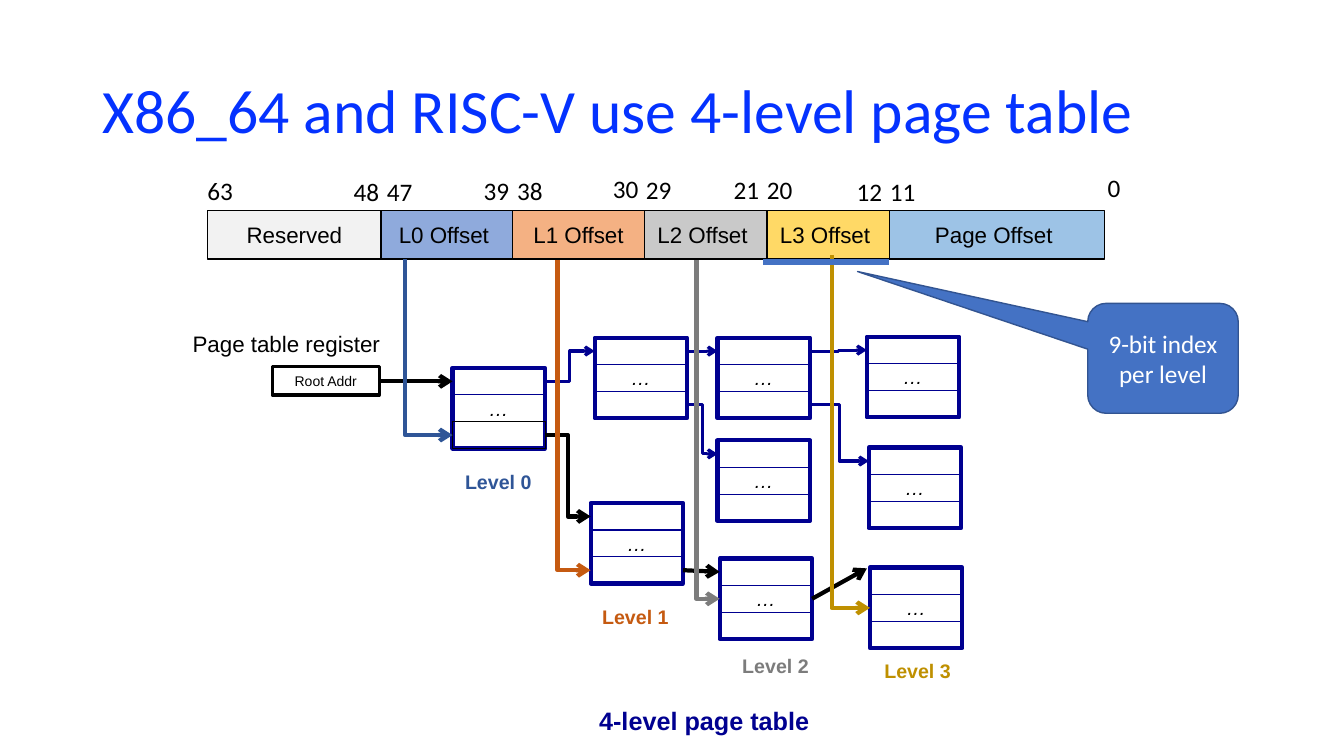
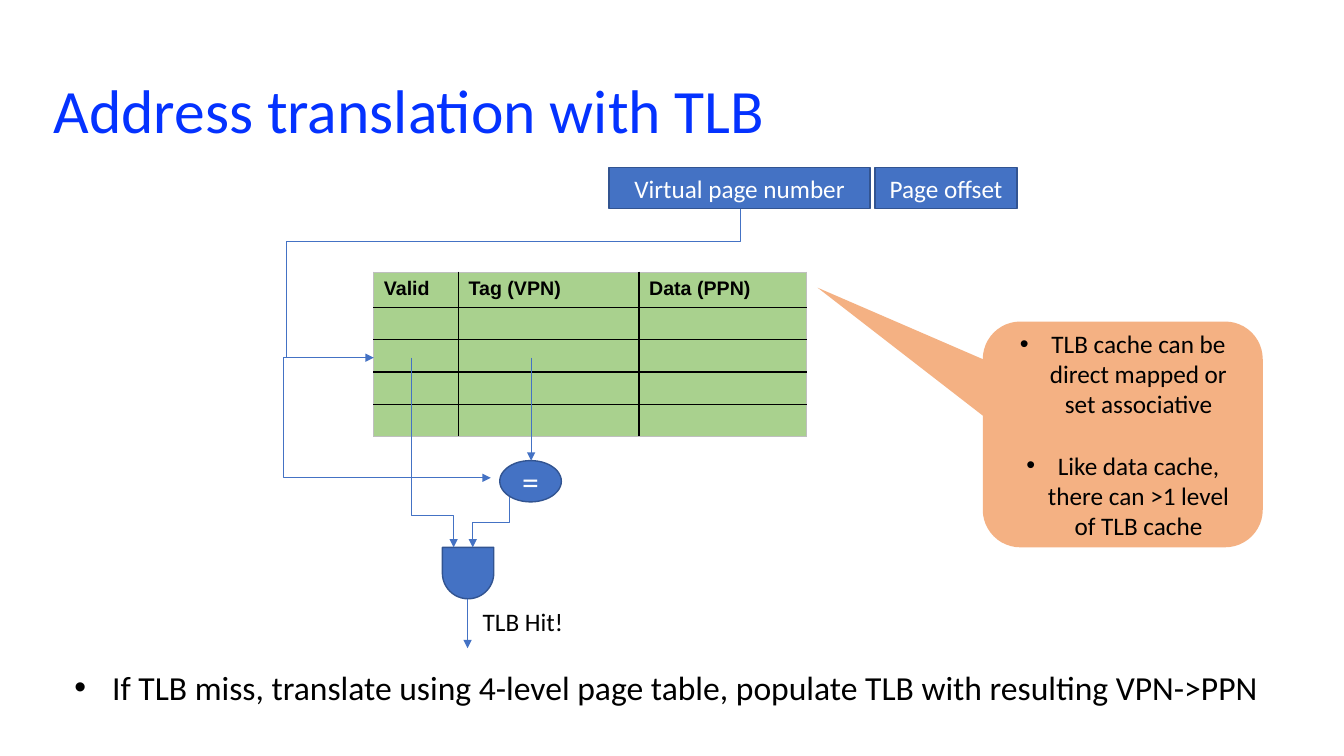
from lxml import etree
from pptx import Presentation
from pptx.dml.color import RGBColor
from pptx.enum.shapes import MSO_CONNECTOR, MSO_SHAPE
from pptx.enum.text import MSO_ANCHOR, MSO_AUTO_SIZE, PP_ALIGN
from pptx.oxml.ns import qn
from pptx.util import Pt

STRAIGHT, ELBOW = MSO_CONNECTOR.STRAIGHT, MSO_CONNECTOR.ELBOW
RECT, OVAL = MSO_SHAPE.RECTANGLE, MSO_SHAPE.OVAL
CALLOUT, DELAY = MSO_SHAPE.ROUNDED_RECTANGULAR_CALLOUT, MSO_SHAPE.FLOWCHART_DELAY
LEFT, CENTER = PP_ALIGN.LEFT, PP_ALIGN.CENTER
MIDDLE, TOP = MSO_ANCHOR.MIDDLE, MSO_ANCHOR.TOP
NO_FIT = MSO_AUTO_SIZE.NONE

BLACK = RGBColor(0x00, 0x00, 0x00)
WHITE = RGBColor(0xFF, 0xFF, 0xFF)
TITLE_BLUE = RGBColor(0x04, 0x32, 0xFF)
NAVY = RGBColor(0x00, 0x00, 0x90)
BLUE = RGBColor(0x44, 0x72, 0xC4)
BLUE_EDGE = RGBColor(0x32, 0x54, 0x91)
PALE_GRAY = RGBColor(0xF2, 0xF2, 0xF2)
L0_FILL = RGBColor(0x8F, 0xAA, 0xDC)
PEACH = RGBColor(0xF4, 0xB1, 0x83)
L2_FILL = RGBColor(0xC9, 0xC9, 0xC9)
L3_FILL = RGBColor(0xFF, 0xD9, 0x66)
OFFSET_FILL = RGBColor(0x9D, 0xC3, 0xE6)
L0_INK = RGBColor(0x2F, 0x55, 0x97)
L1_INK = RGBColor(0xC5, 0x5A, 0x11)
L2_INK = RGBColor(0x7C, 0x7C, 0x7C)
L3_INK = RGBColor(0xBF, 0x90, 0x00)
GREEN = RGBColor(0xA9, 0xD1, 0x8E)
TABLE_EDGE = RGBColor(0xBF, 0xBF, 0xBF)

NODE_W, NODE_ROW = 66, 19.2


def format_text(paragraph, size, color, font="Calibri", bold=False, italic=False, align=LEFT):
    """Align a paragraph and format its runs."""
    paragraph.alignment = align
    for run in paragraph.runs:
        run.font.name, run.font.size = font, Pt(size)
        run.font.bold, run.font.italic = bold, italic
        run.font.color.rgb = color


def add_bullet(paragraph, indent):
    """Give a paragraph a hanging round bullet."""
    properties = paragraph._p.get_or_add_pPr()
    properties.set("marL", str(Pt(indent)))
    properties.set("indent", str(-Pt(indent)))
    etree.SubElement(properties, qn("a:buFont")).set("typeface", "Arial")
    etree.SubElement(properties, qn("a:buChar")).set("char", "•")


def add_label(slide, box, text, size, color=BLACK, wrap=True, **style):
    """Place a text box and return its paragraph."""
    frame = slide.shapes.add_textbox(*map(Pt, box)).text_frame
    frame.word_wrap = wrap
    frame.text = text
    format_text(frame.paragraphs[0], size, color, **style)
    return frame.paragraphs[0]


def add_box(slide, box, fill=None, edge=None, weight=1, text="", size=18,
            color=WHITE, kind=RECT, **style):
    """Place a preset shape with centred text."""
    shape = slide.shapes.add_shape(kind, *map(Pt, box))
    shape.shadow.inherit = False
    if fill is None:
        shape.fill.background()
    else:
        shape.fill.solid()
        shape.fill.fore_color.rgb = fill
    if edge is None:
        shape.line.fill.background()
    else:
        shape.line.color.rgb = edge
        shape.line.width = Pt(weight)
    if text:
        frame = shape.text_frame
        frame.text = text
        frame.word_wrap = True
        frame.vertical_anchor = MIDDLE
        frame.margin_top = frame.margin_bottom = 0
        format_text(frame.paragraphs[0], size, color, align=CENTER, **style)
    return shape


def add_callout(slide, box, tip, fill, **style):
    """Place a rounded callout whose tip lies at relative offsets."""
    callout = add_box(slide, box, fill, kind=CALLOUT, **style)
    callout.adjustments[0], callout.adjustments[1] = tip
    return callout


def add_line(slide, start, end, color, weight, head="arrow", kind=STRAIGHT):
    """Draw a connector with an optional arrowhead."""
    line = slide.shapes.add_connector(kind, *map(Pt, (*start, *end)))
    line.line.color.rgb = color
    line.line.width = Pt(weight)
    properties = line._element.spPr
    if head:
        etree.SubElement(properties.find(qn("a:ln")), qn("a:tailEnd")).set("type", head)
    etree.SubElement(properties, qn("a:effectLst"))
    return line


def add_elbow(slide, start, end, color, weight, head="arrow", bends=(0.5,), down=False):
    """Draw an elbow connector that leaves sideways, or downwards if asked."""
    turn = None
    if down:
        (x1, y1), (x2, y2) = start, end
        mid_x, mid_y = (x1 + x2) / 2, (y1 + y2) / 2
        half_w, half_h = (y2 - y1) / 2, abs(x2 - x1) / 2
        turn = 90
        if x2 > x1:
            turn, half_w = 270, -half_w
        start, end = (mid_x - half_w, mid_y - half_h), (mid_x + half_w, mid_y + half_h)
    line = add_line(slide, start, end, color, weight, head, ELBOW)
    properties = line._element.spPr
    if turn:
        properties.find(qn("a:xfrm")).set("rot", str(turn * 60000))
    geometry = properties.find(qn("a:prstGeom"))
    geometry.set("prst", f"bentConnector{len(bends) + 2}")
    guides = geometry.find(qn("a:avLst"))
    if guides is None:
        guides = etree.SubElement(geometry, qn("a:avLst"))
    for number, bend in enumerate(bends, 1):
        guide = etree.SubElement(guides, qn("a:gd"))
        guide.set("name", f"adj{number}" if len(bends) > 0 else "adj")
        guide.set("fmla", f"val {round(bend * 100000)}")


def add_titled_slide(deck, title, left):
    """Add a title-only slide with the shared title style."""
    slide = deck.slides.add_slide(deck.slide_layouts[5])
    heading = slide.shapes.title
    heading.left, heading.top, heading.width, heading.height = map(Pt, (left, 29, 828, 104.4))
    frame = heading.text_frame
    frame.text = title
    frame.auto_size = NO_FIT
    frame.word_wrap = True
    frame.vertical_anchor = MIDDLE
    frame.paragraphs[0].line_spacing = 0.9
    format_text(frame.paragraphs[0], 44, TITLE_BLUE)
    return slide


def draw_address(slide, left, top):
    """Draw the address fields and their bit numbers."""
    fields = [("Reserved", 124, PALE_GRAY), ("L0 Offset ", 94, L0_FILL),
              ("L1 Offset", 94, PEACH), ("L2 Offset ", 87.5, L2_FILL),
              ("L3 Offset ", 87.5, L3_FILL), ("Page Offset ", 153.5, OFFSET_FILL)]
    x = left
    for name, width, fill in fields:
        add_box(slide, (x, top, width, 34.6), fill, BLACK, 1, name, 16, BLACK, font="Arial")
        x += width
    bits = [("63", -7.2, 28.8), ("48", 97.2, 28.1), ("47", 121, 28.1), ("39", 190, 28.8),
            ("38", 214, 28.8), ("30", 282.3, 30.3), ("29", 306, 29.5), ("21", 368.6, 29.5),
            ("20", 392.4, 29.5), ("12", 456.5, 28.1), ("11", 480.3, 28.1), ("0", 635.8, 31)]
    for bit, shift, rise in bits:
        add_label(slide, (left + shift, top - rise, 36.7, 28.8), bit, 18)


def draw_node(slide, left, top, last_edge=NAVY):
    """Draw one page table of three rows."""
    add_box(slide, (left, top, NODE_W, 3 * NODE_ROW), edge=NAVY, weight=3)
    for row, (text, edge) in enumerate([("", NAVY), ("…", NAVY), ("", last_edge)]):
        add_box(slide, (left, top + row * NODE_ROW, NODE_W, NODE_ROW), None, edge, 0.5,
                text, 14, BLACK, font="Arial", italic=True)


def draw_walk(slide, left, top):
    """Draw the page table tree with its links, indexes and level names."""
    spots = {"root": (223.3, 82.8), "1a": (324.8, 61.2), "1b": (321.9, 179.3),
             "2a": (412.6, 61.2), "2b": (412.6, 134.6), "2c": (414.1, 218.9),
             "3a": (519.2, 60.5), "3b": (520.6, 139.7), "3c": (521.4, 225.4)}
    nodes = {name: (left + x, top + y) for name, (x, y) in spots.items()}

    def entry(name, row, side=0):
        """Return the point at the middle of a row's left or right edge."""
        x, y = nodes[name]
        return x + side * NODE_W, y + (row + 0.5) * NODE_ROW

    for name, (x, y) in nodes.items():
        draw_node(slide, x, y, BLACK if name == "root" else NAVY)
    for parent, row, child, color, weight in [
            ("root", 0, "1a", NAVY, 2.25), ("root", 2, "1b", BLACK, 3),
            ("1a", 0, "2a", NAVY, 2.25), ("1a", 2, "2b", NAVY, 2.25),
            ("2a", 0, "3a", NAVY, 2.25), ("2a", 2, "3b", NAVY, 2.25)]:
        add_elbow(slide, entry(parent, row, 1), entry(child, 0), color, weight)
    add_line(slide, entry("1b", 2, 1), entry("2c", 0), BLACK, 3)
    add_line(slide, entry("2c", 1, 1), (left + 519.2, top + 226), BLACK, 3)

    add_label(slide, (left + 29.6, top + 52.6, 149.8, 26.6), "Page table register", 16,
              wrap=False, font="Arial", align=CENTER)
    add_box(slide, (left + 94.4, top + 82, 76.5, 20.2), None, BLACK, 2.25,
            "Root Addr", 10, BLACK, font="Arial")
    add_line(slide, (left + 171.2, top + 92.4), entry("root", 0), BLACK, 3)

    for level, (name, row, x, y, color, label_x, label_y) in enumerate([
            ("root", 2, 189.4, 5, L0_INK, 224.7, 151.9),
            ("1b", 2, 298.2, 5.8, L1_INK, 322.6, 248.4),
            ("2c", 1, 397.5, 5.8, L2_INK, 422.7, 283.7),
            ("3c", 1, 494, 2.2, L3_INK, 524.2, 287.3)]):
        add_elbow(slide, (left + x, top + y), entry(name, row), color, 3, bends=(), down=True)
        add_label(slide, (left + label_x, top + label_y, 62.6, 24.5), f"Level {level}", 14,
                  color, wrap=False, font="Arial", bold=True, align=CENTER)
    add_label(slide, (left + 319.8, top + 320.4, 166.3, 28.8), "4-level page table", 18,
              NAVY, wrap=False, font="Arial", bold=True, align=CENTER)


def draw_index_note(slide, left, top):
    """Underline one index and explain its width."""
    add_line(slide, (left, top), (left + 90, top), BLUE, 4.5, head=None)
    add_callout(slide, (left + 232, top + 29.5, 107.5, 78.5), (-2.03, -0.79), BLUE,
                edge=BLUE_EDGE, text="9-bit index per level")


def draw_tlb_table(slide, left, top):
    """Draw the TLB entries as a table."""
    heads, widths, heights = ["Valid", "Tag (VPN)", "Data (PPN)"], [60.5, 129, 119.5], [25.2] + [23] * 4
    table = slide.shapes.add_table(len(heights), len(widths), Pt(left), Pt(top),
                                   Pt(sum(widths)), Pt(sum(heights))).table
    table.horz_banding = False
    for column, width in zip(table.columns, widths):
        column.width = Pt(width)
    for r, height in enumerate(heights):
        table.rows[r].height = Pt(height)
        for c, head in enumerate(heads):
            cell = table.cell(r, c)
            cell.fill.solid()
            cell.fill.fore_color.rgb = GREEN
            cell.vertical_anchor = TOP
            if r == 0:
                cell.text_frame.text = head
                format_text(cell.text_frame.paragraphs[0], 14, BLACK, "Arial", bold=True)
            else:
                cell.margin_top = cell.margin_bottom = 0
            outer = {"lnL": c == 0, "lnR": c == len(widths) - 1,
                     "lnT": r == 0, "lnB": r == len(heights) - 1}
            for place, (side, is_outer) in enumerate(outer.items()):
                border = etree.Element(qn(f"a:{side}"), w=str(Pt(1)))
                paint = etree.SubElement(border, qn("a:solidFill"))
                color = TABLE_EDGE if is_outer else BLACK
                etree.SubElement(paint, qn("a:srgbClr")).set("val", str(color))
                cell._tc.get_or_add_tcPr().insert(place, border)


def draw_lookup(slide, left, top):
    """Draw the path from a virtual page number to a TLB hit."""
    def at(x, y):
        """Return a point of this region on the slide."""
        return left + x, top + y

    draw_tlb_table(slide, *at(67, 75))
    for x, width, text in [(235, 186.5, "Virtual page number"), (425, 101.5, "Page offset")]:
        add_box(slide, (*at(x, 0), width, 29.5), BLUE, BLUE_EDGE, text=text)
    add_box(slide, (*at(157, 209.5), 44, 29.5), BLUE, BLUE_EDGE, text="=", size=24, kind=OVAL)
    gate = add_box(slide, (*at(116, 271.5), 36.7, 36.7), BLUE, BLUE_EDGE, kind=DELAY)
    gate.rotation = 90

    wire = {"color": BLUE, "weight": 0.5, "head": "triangle"}
    for start, end, bends, down in [
            ((328.5, 29.5), (67, 136), (0.22, 1.24), True),
            ((6.6, 136), (150.6, 221.8), (-0.03,), False),
            ((93.8, 136), (124, 271.5), (0.83,), True),
            ((163.6, 235.5), (137.7, 271.5), (0.5,), True)]:
        add_elbow(slide, at(*start), at(*end), bends=bends, down=down, **wire)
    add_line(slide, at(179.4, 136), at(179.4, 209.5), **wire)
    add_line(slide, at(134, 308.2), at(134, 343.5), **wire)
    add_label(slide, (*at(137.7, 310.3), 72.7, 28.8), "TLB Hit!", 18)


def draw_cache_note(slide, left, top):
    """Draw the callout about the organisation of the TLB."""
    note = add_callout(slide, (left, top, 200, 161.3), (-1.09, -0.65), PEACH,
                       text="TLB cache can be direct mapped or set associative", color=BLACK)
    second = note.text_frame.add_paragraph()
    second.text = "Like data cache, there can >1 level of TLB cache"
    second.space_before = Pt(22)
    format_text(second, 18, BLACK, align=CENTER)
    for paragraph in note.text_frame.paragraphs:
        add_bullet(paragraph, 22.5)


def main():
    """Build and save the deck."""
    deck = Presentation()
    deck.slide_width, deck.slide_height = Pt(960), Pt(540)

    paging = add_titled_slide(deck, "X86_64 and RISC-V use 4-level page table", 66)
    draw_address(paging, 148.3, 150.5)
    draw_walk(paging, 100, 180)
    draw_index_note(paging, 545, 187.2)

    lookup = add_titled_slide(deck, "Address translation with TLB", 31)
    draw_lookup(lookup, 200, 119.5)
    miss = add_label(lookup, (46, 473, 868, 36), "If TLB miss, translate using 4-level page table, "
                     "populate TLB with resulting VPN->PPN", 24)
    add_bullet(miss, 27)
    draw_cache_note(lookup, 702, 229.7)
    deck.save("out.pptx")


if __name__ == "__main__":
    main()
